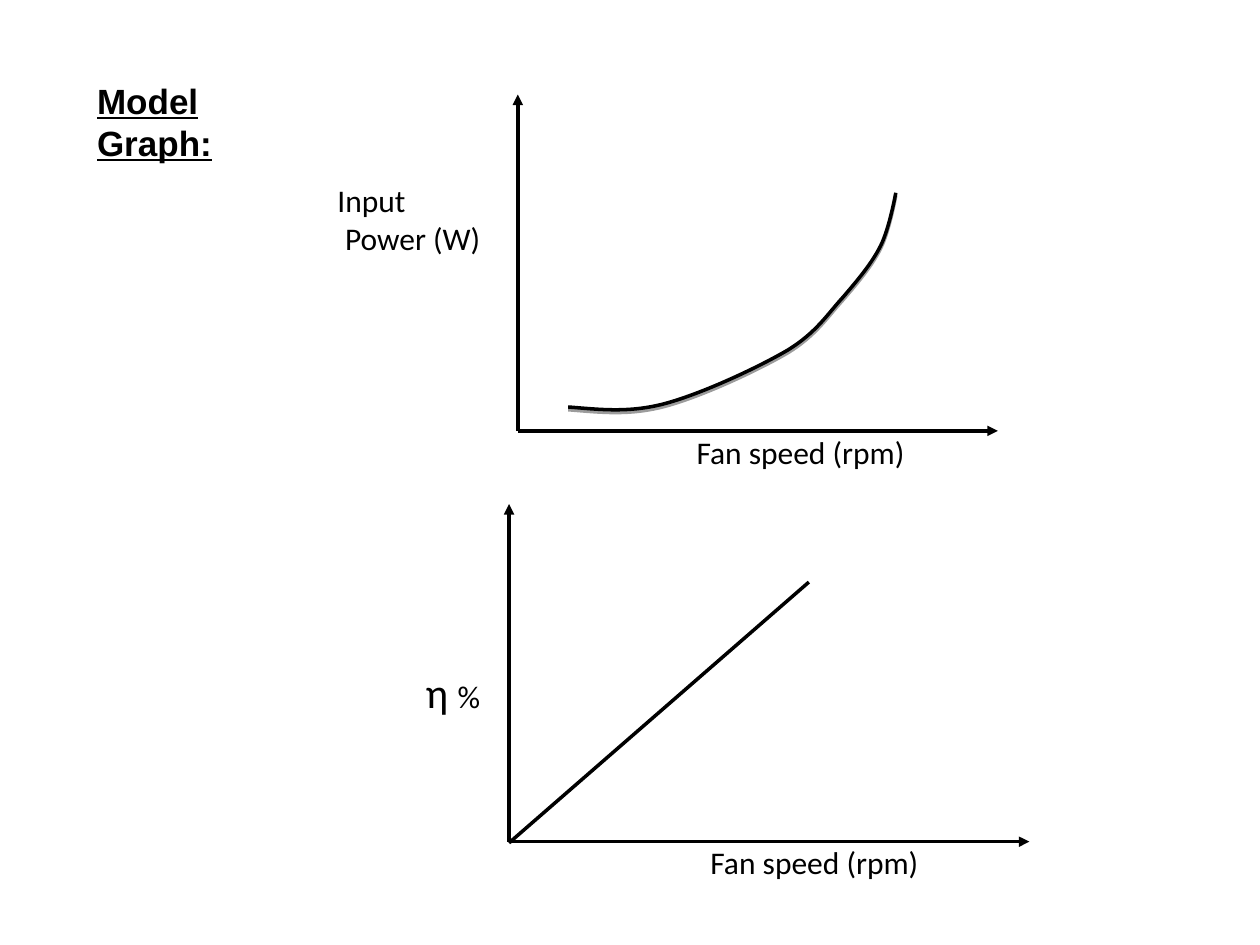
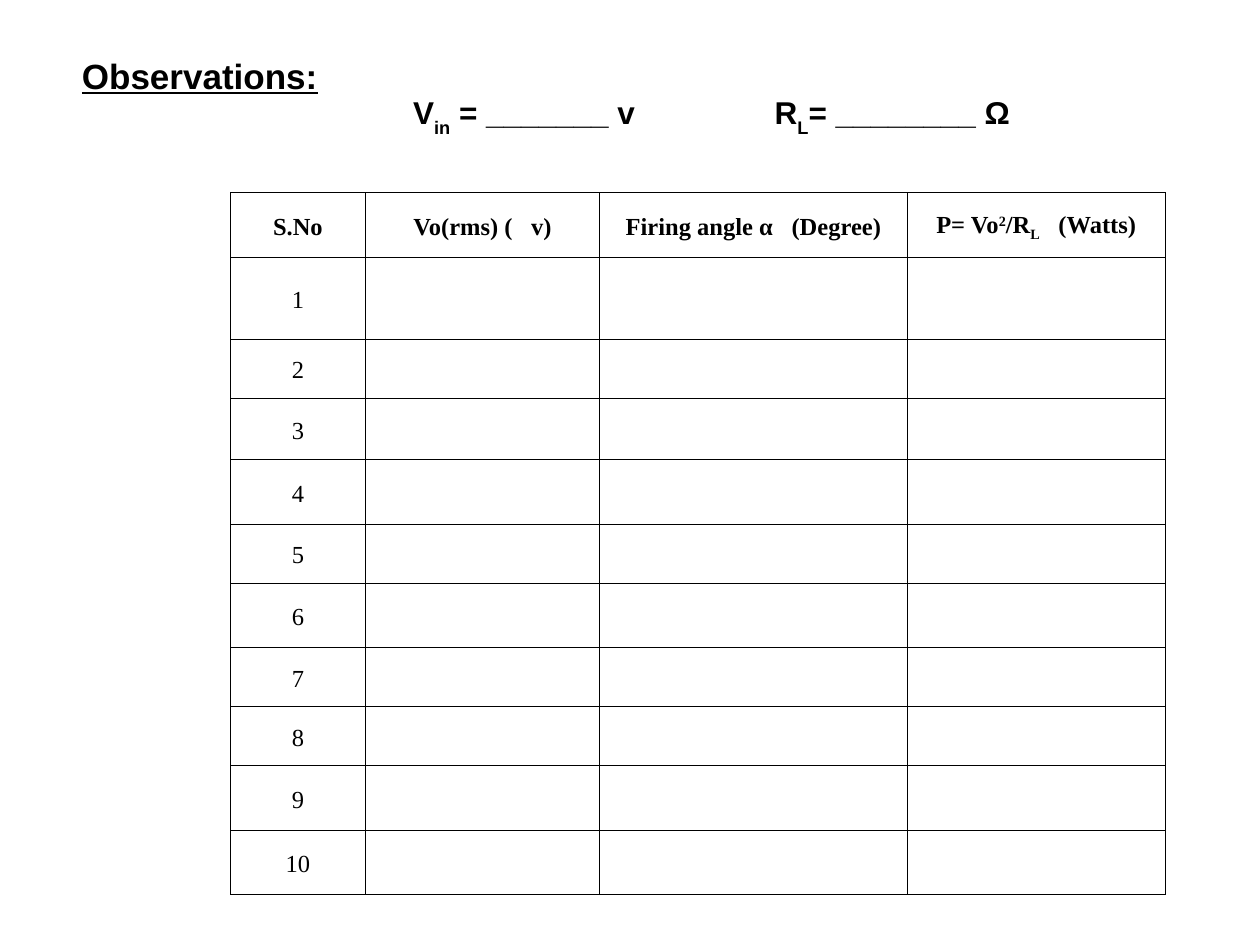
from lxml import etree
from pptx import Presentation
from pptx import util as u
from pptx.dml.color import RGBColor
from pptx.enum import shapes, text
from pptx.oxml.ns import qn

Inches, Pt = u.Inches, u.Pt
BLACK = "000000"
BASELINES = {"sub": "-25000", "low": "-30000", "sup": "30000"}


def color(hex_string):
    return RGBColor.from_string(hex_string)


def add_xml(parent, tag, **attributes):
    return etree.SubElement(parent, qn(tag), attributes)


class Deck:
    """Shared style, the current slide and the shape collection being drawn on."""

    title_font, body_font, table_font = "Arial", "Calibri", "Times New Roman"
    title_size, body_size, table_size = 20, 18, 14
    line_width = 2

    def __init__(self):
        self.presentation = Presentation()
        self.presentation.slide_width = Inches(10)
        self.presentation.slide_height = Inches(7.5)

    def add_slide(self, title, left, top, width):
        layout = self.presentation.slide_layouts.get_by_name("Title Only")
        self.slide = self.presentation.slides.add_slide(layout)
        self.canvas = self.slide.shapes
        shape = self.slide.shapes.title
        shape.left, shape.top = Inches(left), Inches(top)
        shape.width, shape.height = Inches(width), Inches(0.42)
        frame = shape.text_frame
        frame.word_wrap = False
        frame.auto_size = text.MSO_AUTO_SIZE.NONE
        frame.vertical_anchor = text.MSO_ANCHOR.TOP
        paragraph = frame.paragraphs[0]
        paragraph.alignment = text.PP_ALIGN.LEFT
        self.add_runs(paragraph, [(title, "")], self.title_font, self.title_size, bold=True)
        paragraph.runs[0].font.underline = True

    def start_group(self):
        self.canvas = self.slide.shapes.add_group_shape().shapes

    def add_runs(self, paragraph, pieces, font, size, bold=False):
        """Add (text, kind) pieces; a kind is a baseline, "gap", "big" or empty."""
        for wording, kind in pieces:
            run = paragraph.add_run()
            run.text = wording
            run.font.name = font
            run.font.size = Pt(24 if kind == "big" else size)
            run.font.bold = bold
            run.font.color.rgb = color(BLACK)
            properties = run._r.get_or_add_rPr()
            if kind in BASELINES:
                properties.set("baseline", BASELINES[kind])
            elif kind == "gap":
                properties.set("spc", "700")

    def text_box(self, left, top, width, height, lines, font=None, bold=False):
        box = self.canvas.add_textbox(Inches(left), Inches(top), Inches(width), Inches(height))
        frame = box.text_frame
        frame.word_wrap = True
        for index, pieces in enumerate(lines):
            paragraph = frame.add_paragraph() if index else frame.paragraphs[0]
            self.add_runs(paragraph, pieces, font or self.body_font, self.body_size, bold)
        return frame.paragraphs

    def line(self, start, end, arrow=False):
        points = [Inches(value) for value in (*start, *end)]
        connector = self.canvas.add_connector(shapes.MSO_CONNECTOR.STRAIGHT, *points)
        connector.line.color.rgb = color(BLACK)
        connector.line.width = Pt(self.line_width)
        if arrow:
            add_xml(connector.line._get_or_add_ln(), "a:tailEnd", type="triangle")
        add_xml(connector._element.spPr, "a:effectLst")

    def axes(self, origin, top, right):
        self.line(origin, (origin[0], top), arrow=True)
        self.line(origin, (right, origin[1]), arrow=True)

    def curve(self, start, points):
        """Draw Bézier segments; every three points are two controls and an end."""
        builder = self.canvas.build_freeform(*map(Inches, start), scale=1.0)
        builder.add_line_segments([tuple(map(Inches, point)) for point in points], close=False)
        shape = builder.convert_to_shape()
        outline = next(shape._element.iter(qn("a:path")))
        segments = outline.findall(qn("a:lnTo"))
        for first in range(0, len(segments), 3):
            bezier = add_xml(outline, "a:cubicBezTo")
            for segment in segments[first:first + 3]:
                bezier.append(segment[0])
                outline.remove(segment)
        shape.fill.background()
        shape.line.color.rgb = color(BLACK)
        shape.line.width = Pt(self.line_width)
        shape.shadow.inherit = False
        effects = shape._element.spPr.find(qn("a:effectLst"))
        shadow = add_xml(effects, "a:outerShdw", dist=str(Pt(1.6)), dir="5400000", rotWithShape="0")
        add_xml(add_xml(shadow, "a:srgbClr", val=BLACK), "a:alpha", val="38000")

    def table(self, left, top, widths, heights, rows):
        frame = self.canvas.add_table(len(heights), len(widths), Inches(left), Inches(top),
                                      Inches(sum(widths)), Inches(sum(heights)))
        table = frame.table
        table.horz_banding = False
        for column, width in zip(table.columns, widths):
            column.width = Inches(width)
        for row, height in zip(table.rows, heights):
            row.height = Inches(height)
        for row_index, row in enumerate(rows):
            for column_index, pieces in enumerate(row):
                self.cell(table.cell(row_index, column_index), pieces, bold=row_index == 0)

    def cell(self, cell, pieces, bold):
        cell.margin_left = cell.margin_right = Inches(0.05)
        cell.margin_top = cell.margin_bottom = Inches(0.05)
        cell.vertical_anchor = text.MSO_ANCHOR.MIDDLE
        properties = cell._tc.get_or_add_tcPr()
        for side in "LRTB":
            border = add_xml(properties, f"a:ln{side}", w=str(Pt(0.45)))
            add_xml(add_xml(border, "a:solidFill"), "a:srgbClr", val=BLACK)
        cell.fill.background()
        paragraph = cell.text_frame.paragraphs[0]
        paragraph.alignment = text.PP_ALIGN.CENTER
        paragraph.line_spacing = 1.15
        self.add_runs(paragraph, pieces, self.table_font, self.table_size, bold)


def model_graph_slide(deck):
    deck.add_slide("Model Graph:", 0.67, 0.58, 1.99)
    speed_label = [[("Fan speed (rpm)", "")]]

    deck.start_group()
    deck.axes((4.11, 3.42), top=0.75, right=7.92)
    deck.text_box(5.43, 3.39, 1.86, 0.4, speed_label)
    power_label = deck.text_box(2.58, 1.39, 1.75, 0.7, [[("Input", "")], [("Power (W)", "")]])
    power_label[1]._p.get_or_add_pPr().set("marL", str(Inches(0.06)))
    deck.curve((4.51, 3.23), [
        (4.76, 3.25), (5, 3.28), (5.29, 3.2),
        (5.58, 3.12), (6.01, 2.92), (6.25, 2.78),
        (6.48, 2.64), (6.57, 2.49), (6.69, 2.36),
        (6.81, 2.22), (6.92, 2.09), (6.99, 1.95),
        (7.06, 1.81), (7.11, 1.53), (7.11, 1.53)])

    deck.start_group()
    deck.line((4.04, 6.69), (6.42, 4.62))
    deck.axes((4.04, 6.68), top=4, right=8.17)
    deck.text_box(5.54, 6.64, 1.86, 0.4, speed_label)
    deck.text_box(3.28, 5.24, 0.91, 0.5, [[("η ", "big"), ("%", "")]])


def observations_slide(deck):
    deck.add_slide("Observations:", 0.55, 0.38, 2.1)
    readings = deck.text_box(3.18, 0.69, 5.1, 0.4, [[
        ("V", ""), ("in", "low"), (" = _______ v\tR", ""), ("L", "low"), ("= ________ Ω", "")]],
        font=deck.title_font, bold=True)
    tabs = add_xml(readings[0]._p.get_or_add_pPr(), "a:tabLst")
    add_xml(tabs, "a:tab", pos=str(Inches(2.87)), algn="l")

    header = [
        [("S.No", "")],
        [("Vo(rms) (", ""), (" ", "gap"), ("v)", "")],
        [("Firing angle α", ""), (" ", "gap"), ("(Degree)", "")],
        [("P= Vo", ""), ("2", "sup"), ("/R", ""), ("L", "sub"), (" ", "gap"), ("(Watts)", "")]]
    trials = [[[(str(number), "")], [], [], []] for number in range(1, 11)]
    deck.table(1.83, 1.53, [1.07, 1.86, 2.44, 2.05],
               [0.51, 0.65, 0.47, 0.49, 0.51, 0.47, 0.51, 0.47, 0.47, 0.51, 0.51],
               [header, *trials])


def main():
    deck = Deck()
    model_graph_slide(deck)
    observations_slide(deck)
    deck.presentation.save("out.pptx")


if __name__ == "__main__":
    main()
